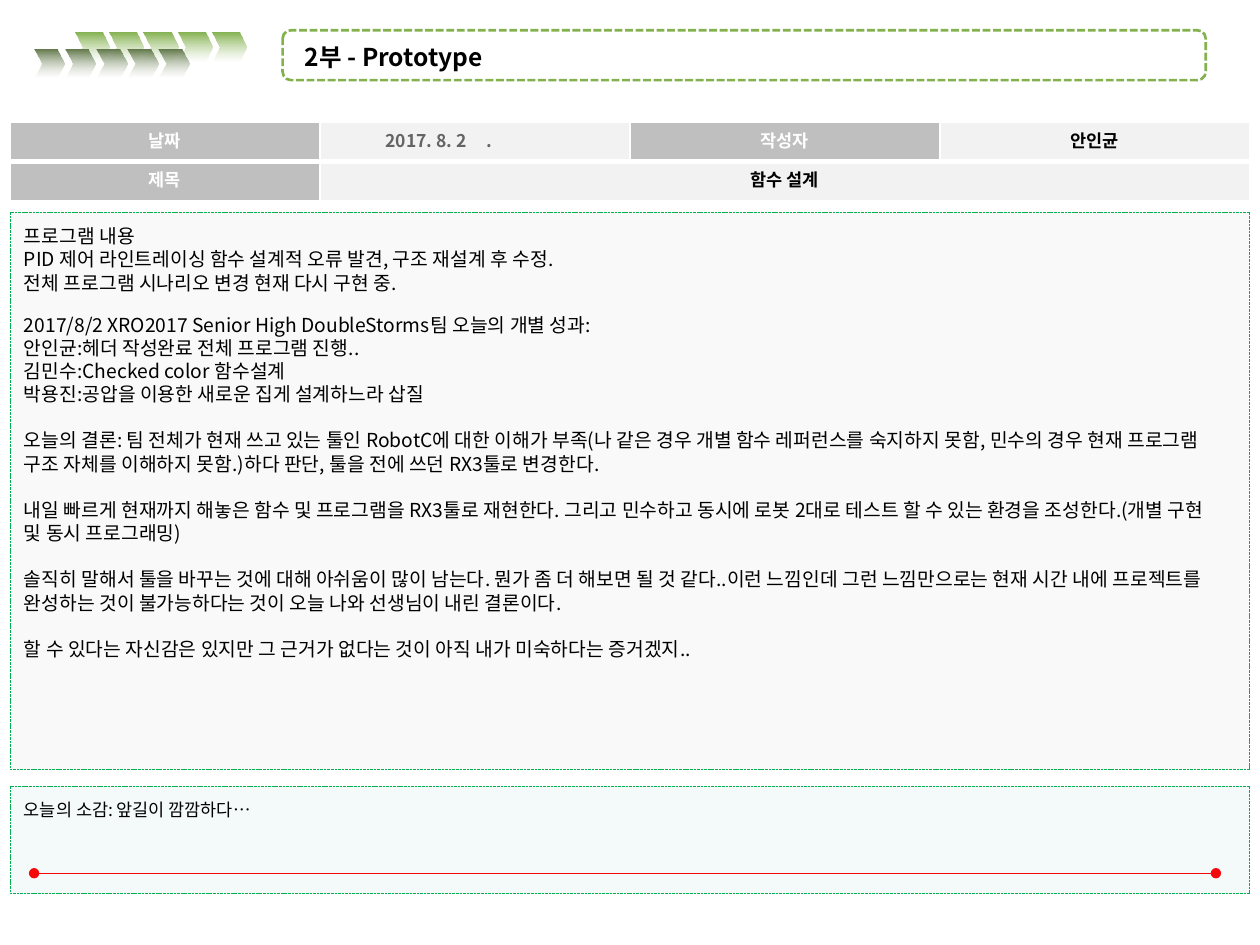
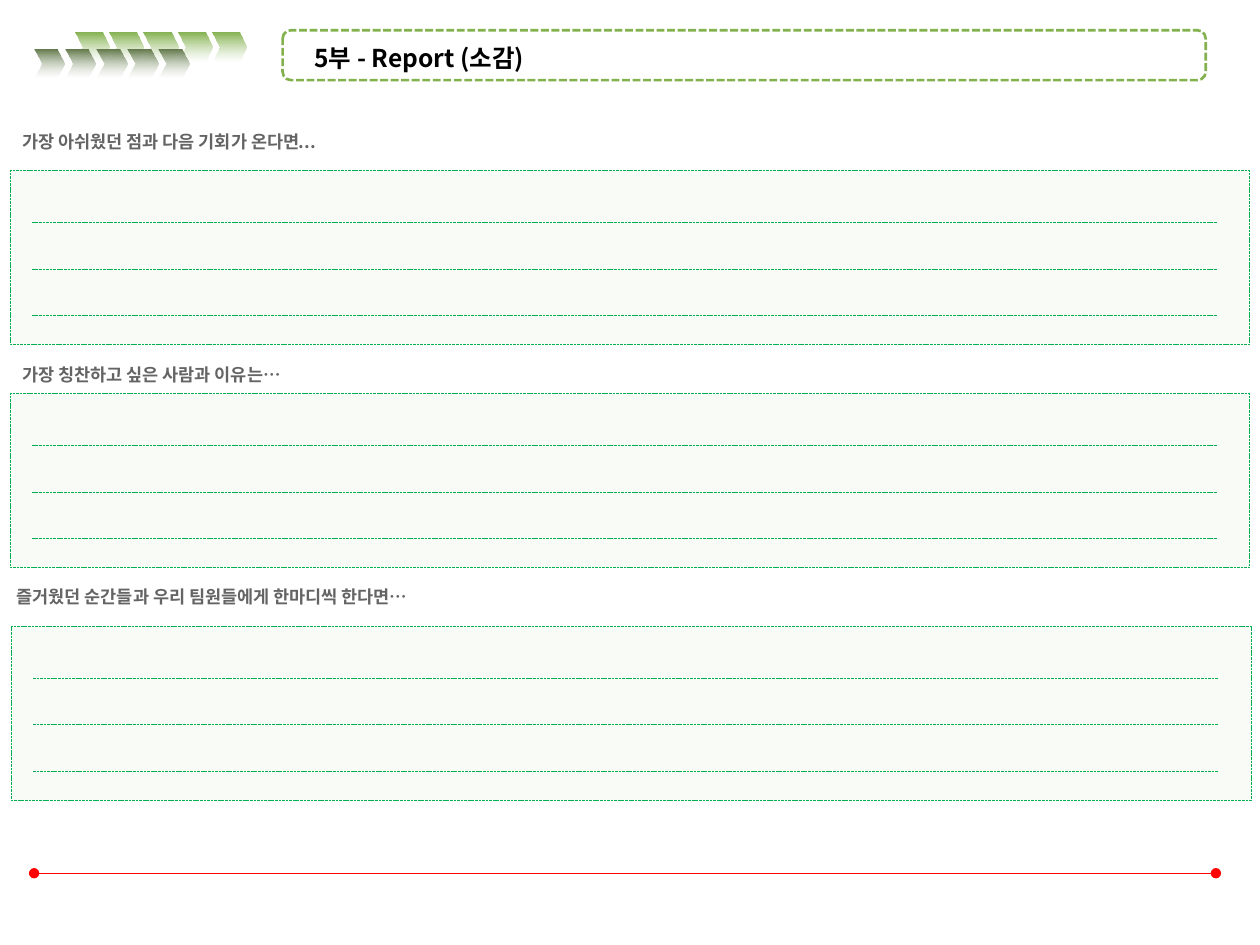
from lxml.etree import SubElement
from pptx import Presentation
from pptx.dml.color import RGBColor
from pptx.enum.dml import MSO_LINE
from pptx.enum.shapes import MSO_CONNECTOR, MSO_SHAPE
from pptx.enum.text import MSO_ANCHOR, MSO_AUTO_SIZE, PP_ALIGN
from pptx.oxml.ns import qn
from pptx.util import Pt

FONT = "Noto Sans CJK KR"
BLACK, WHITE, GRAY = "000000", "FFFFFF", "646464"
LEAF, MOSS, GREEN, RED = "83B14E", "617749", "00B050", "FF0101"
HEAD_FILL, VALUE_FILL = "BFBFBF", "F2F2F2"
LINE_PITCH = 1.205
PANEL_LEFT, PANEL_WIDTH = 5.8, 708.5

# Each entry: text, space before in points
PROGRAM_LOG = [
    ("프로그램 내용", 0),
    ("PID 제어 라인트레이싱 함수 설계적 오류 발견, 구조 재설계 후 수정.", 0),
    ("전체 프로그램 시나리오 변경 현재 다시 구현 중.", 0),
    ("2017/8/2 XRO2017 Senior High DoubleStorms팀 오늘의 개별 성과:", 10.8),
    ("안인균:헤더 작성완료 전체 프로그램 진행..", 0),
    ("김민수:Checked color 함수설계", 0),
    ("박용진:공압을 이용한 새로운 집게 설계하느라 삽질", 0),
    ("오늘의 결론: 팀 전체가 현재 쓰고 있는 툴인 RobotC에 대한 이해가 부족"
     "(나 같은 경우 개별 함수 레퍼런스를 숙지하지 못함, 민수의 경우 현재 프로그램 "
     "구조 자체를 이해하지 못함.)하다 판단, 툴을 전에 쓰던 RX3툴로 변경한다.", 13.2),
    ("내일 빠르게 현재까지 해놓은 함수 및 프로그램을 RX3툴로 재현한다. 그리고 "
     "민수하고 동시에 로봇 2대로 테스트 할 수 있는 환경을 조성한다."
     "(개별 구현 및 동시 프로그래밍)", 13.2),
    ("솔직히 말해서 툴을 바꾸는 것에 대해 아쉬움이 많이 남는다. 뭔가 좀 더 해보면 "
     "될 것 같다..이런 느낌인데 그런 느낌만으로는 현재 시간 내에 프로젝트를 완성하는 "
     "것이 불가능하다는 것이 오늘 나와 선생님이 내린 결론이다.", 13.2),
    ("할 수 있다는 자신감은 있지만 그 근거가 없다는 것이 아직 내가 미숙하다는 증거겠지..", 13.2),
]

# Each entry: prompt, its left and top, left and top of its panel
REPORT_PROMPTS = [
    ("가장 아쉬웠던 점과 다음 기회가 온다면...", 5.8, 71.5, 5.8, 97.5),
    ("가장 칭찬하고 싶은 사람과 이유는…", 5.8, 204.5, 5.8, 225),
    ("즐거웠던 순간들과 우리 팀원들에게 한마디씩 한다면…", 2.5, 331.5, 6.5, 358),
]


def color(value):
    return RGBColor.from_string(value)


def set_opacity(shape, percent):
    """Make the last colour of the shape's fill see-through."""
    tint = shape.element.xpath("./p:spPr//a:srgbClr")[-1]
    SubElement(tint, qn("a:alpha")).set("val", str(percent * 1000))


def set_insets(frame, left=7.2, top=3.6, right=7.2, bottom=3.6):
    frame.margin_left, frame.margin_right = Pt(left), Pt(right)
    frame.margin_top, frame.margin_bottom = Pt(top), Pt(bottom)


def write(frame, lines, size=10, ink=BLACK, bold=False, align=PP_ALIGN.LEFT):
    """Fill a text frame with one text, or with (text, space before) pairs."""
    if isinstance(lines, str):
        lines = [(lines, 0)]
    for number, (text, gap) in enumerate(lines):
        para = frame.add_paragraph() if number else frame.paragraphs[0]
        para.alignment = align
        para.line_spacing = Pt(size * LINE_PITCH)
        para.space_before, para.space_after = Pt(gap), Pt(0)
        span = para.add_run()
        span.text = text
        span.font.size, span.font.bold = Pt(size), bold
        span.font.color.rgb = color(ink)
        span.font.name = FONT
        properties = span.font._element
        SubElement(properties, qn("a:ea")).set("typeface", FONT)


def add_tab_stop(para, position):
    stops = SubElement(para._p.get_or_add_pPr(), qn("a:tabLst"))
    stop = SubElement(stops, qn("a:tab"))
    stop.set("pos", str(Pt(position)))
    stop.set("algn", "l")


def set_borders(cell, **widths):
    """Give a cell white borders; keys are L, R, T and B in that order."""
    properties = cell._tc.get_or_add_tcPr()
    for side, width in widths.items():
        border = SubElement(properties, qn(f"a:ln{side}"))
        border.set("w", str(Pt(width)))
        fill = SubElement(border, qn("a:solidFill"))
        SubElement(fill, qn("a:srgbClr")).set("val", WHITE)


class JournalDeck:
    """Holds the journal's style and the slide being built."""

    def __init__(self):
        self.deck = Presentation()
        self.deck.slide_width, self.deck.slide_height = Pt(720), Pt(540)
        self.slide = None

    def add_page(self, title, left, top):
        self.slide = self.deck.slides.add_slide(self.deck.slide_layouts[5])
        self.add_rule(19.5, 694.8, 499, ink=RED, width=0.75, ends="oval")
        frame = self.add_shape(MSO_SHAPE.ROUNDED_RECTANGLE, 161.5, 17.3, 527.5, 28.5,
                               adjust=0.167)
        self.outline(frame, LEAF, 1.5)
        self.add_chevrons(43, 18.4, 19.6, 19.6, 0.25, LEAF, 52)
        self.add_chevrons(19.5, 28.1, 17.8, 17.5, 0.265, MOSS, 36)
        self.place_title(title, left, top)

    def place_title(self, title, left, top):
        box = self.slide.shapes.title
        box.left, box.top, box.width, box.height = Pt(left), Pt(top), Pt(333), Pt(31)
        frame = box.text_frame
        frame.auto_size, frame.word_wrap = MSO_AUTO_SIZE.NONE, True
        frame.vertical_anchor = MSO_ANCHOR.TOP
        set_insets(frame)
        write(frame, title, size=14, bold=True)

    def add_shape(self, kind, left, top, width, height, adjust=None):
        shape = self.slide.shapes.add_shape(kind, Pt(left), Pt(top), Pt(width), Pt(height))
        shape.shadow.inherit = False
        shape.fill.background()
        shape.line.fill.background()
        if adjust is not None:
            shape.adjustments[0] = adjust
        return shape

    def outline(self, item, ink, width):
        item.line.color.rgb = color(ink)
        item.line.width = Pt(width)
        item.line.dash_style = MSO_LINE.SQUARE_DOT

    def add_chevrons(self, left, top, step, width, adjust, ink, opacity):
        """Draw a row of five chevrons that fade downwards."""
        for number in range(5):
            chevron = self.add_shape(MSO_SHAPE.CHEVRON, left + number * step, top,
                                     width, 16.5, adjust)
            chevron.fill.gradient()
            chevron.fill.gradient_angle = 270
            for stop, tint in zip(chevron.fill.gradient_stops, (ink, WHITE)):
                stop.color.rgb = color(tint)
            set_opacity(chevron, opacity)

    def add_rule(self, left, right, top, ink=GREEN, width=0.5, ends=None):
        rule = self.slide.shapes.add_connector(MSO_CONNECTOR.STRAIGHT, Pt(left), Pt(top),
                                               Pt(right), Pt(top))
        SubElement(rule.element.spPr, qn("a:effectLst"))
        if ends:
            rule.line.color.rgb, rule.line.width = color(ink), Pt(width)
            for end in ("a:headEnd", "a:tailEnd"):
                SubElement(rule.line._get_or_add_ln(), qn(end)).set("type", ends)
        else:
            self.outline(rule, ink, width)

    def add_panel(self, top, height, tint, opacity, left=PANEL_LEFT):
        panel = self.add_shape(MSO_SHAPE.RECTANGLE, left, top, PANEL_WIDTH, height)
        panel.fill.solid()
        panel.fill.fore_color.rgb = color(tint)
        set_opacity(panel, opacity)
        self.outline(panel, GREEN, 0.5)
        frame = panel.text_frame
        frame.word_wrap, frame.vertical_anchor = True, MSO_ANCHOR.TOP
        set_insets(frame, 7.9, 7, 17, 5.8)
        return frame

    def add_answer_panel(self, left, top):
        self.add_panel(top, 99.5, "92D050", 5, left)
        for number in range(3):
            self.add_rule(left + 12.4, left + 689.8, top + 29.6 + number * 26.6)

    def add_label(self, text, left, top):
        box = self.slide.shapes.add_textbox(Pt(left), Pt(top), Pt(270), Pt(19.5))
        box.text_frame.word_wrap = False
        set_insets(box.text_frame)
        write(box.text_frame, text, ink=GRAY, bold=True)

    def add_entry_table(self, rows):
        table = self.slide.shapes.add_table(2, 4, Pt(PANEL_LEFT), Pt(69.9),
                                            Pt(PANEL_WIDTH), Pt(44.6)).table
        table.first_row = table.horz_banding = False
        table.cell(1, 1).merge(table.cell(1, 3))
        for row, texts in enumerate(rows):
            table.rows[row].height = Pt(22.3)
            for column in range(4):
                cell = table.cell(row, column)
                set_borders(cell, L=1, R=1, T=3 if row else 1, B=1 if row else 3)
                heading = column % 2 == 0
                cell.fill.solid()
                cell.fill.fore_color.rgb = color(HEAD_FILL if heading else VALUE_FILL)
                cell.vertical_anchor = MSO_ANCHOR.MIDDLE
                set_insets(cell, 6.5)
                if column < len(texts):
                    dated = "\t" in texts[column]
                    ink = WHITE if heading else GRAY if dated else BLACK
                    write(cell.text_frame, texts[column], ink=ink, bold=True,
                          align=PP_ALIGN.LEFT if dated else PP_ALIGN.CENTER)
                    if dated:
                        cell.margin_left = Pt(37.5)
                        add_tab_stop(cell.text_frame.paragraphs[0], 57.5)


def main():
    journal = JournalDeck()

    journal.add_page("2부 - Prototype", 167, 20.5)
    journal.add_entry_table([["날짜", "2017. 8. 2\t.", "작성자", "안인균"],
                             ["제목", "함수 설계"]])
    write(journal.add_panel(449.3, 61.5, "3790AF", 5), "오늘의 소감: 앞길이 깜깜하다…")
    write(journal.add_panel(121.3, 318.7, "F2F2F2", 40), PROGRAM_LOG, size=11)

    journal.add_page("5부 - Report (소감)", 172.5, 21)
    for prompt, left, top, panel_left, panel_top in REPORT_PROMPTS:
        journal.add_label(prompt, left, top)
        journal.add_answer_panel(panel_left, panel_top)

    journal.deck.save("out.pptx")


if __name__ == "__main__":
    main()
